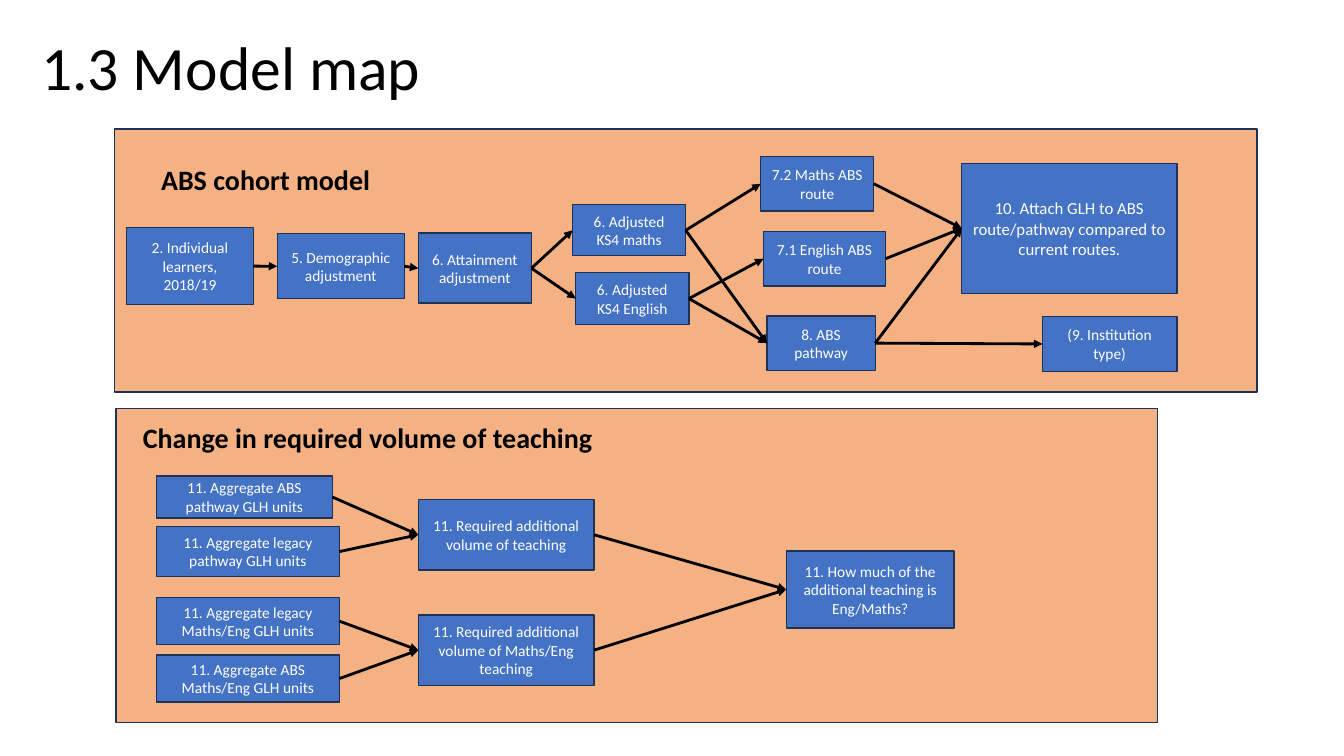
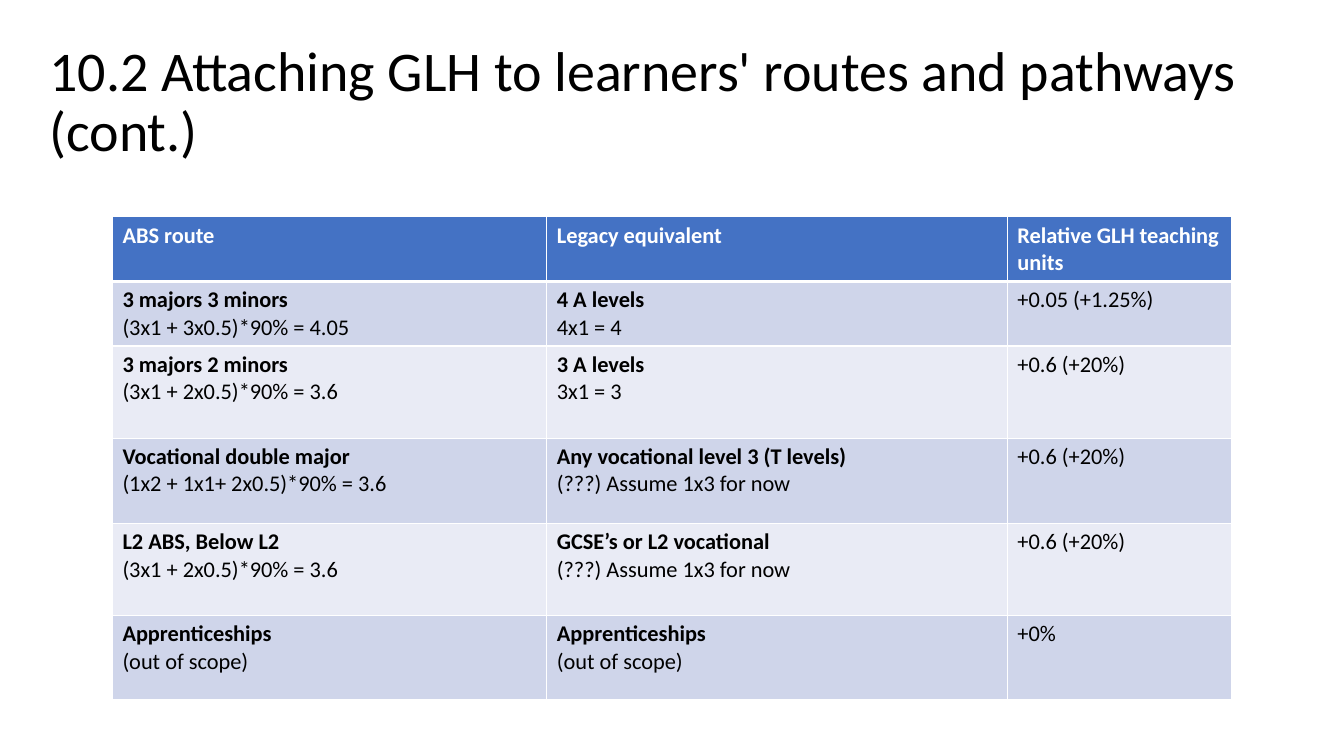
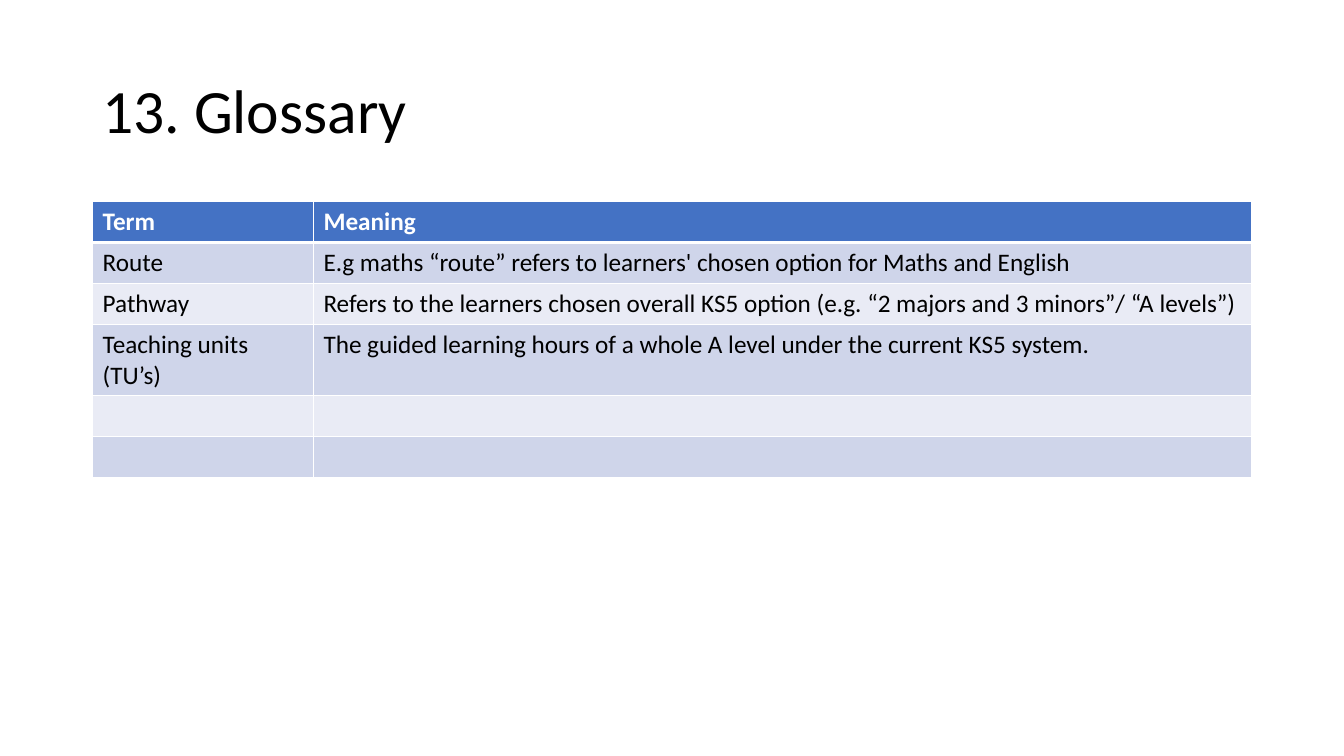
from dataclasses import dataclass
from typing import Any, NamedTuple

from lxml.etree import SubElement
from pptx import Presentation
from pptx.dml.color import RGBColor
from pptx.enum.shapes import MSO_CONNECTOR, MSO_SHAPE
from pptx.enum.text import MSO_ANCHOR, PP_ALIGN
from pptx.oxml.ns import qn
from pptx.util import Pt

RIGHT_SIDE, LEFT_SIDE = 3, 1


@dataclass(frozen=True)
class Theme:
    font: str = "Calibri"
    black: RGBColor = RGBColor(0x00, 0x00, 0x00)
    white: RGBColor = RGBColor(0xFF, 0xFF, 0xFF)
    blue: RGBColor = RGBColor(0x44, 0x72, 0xC4)
    outline: RGBColor = RGBColor(0x1E, 0x32, 0x56)
    panel: RGBColor = RGBColor(0xF4, 0xB1, 0x83)
    bands: tuple[RGBColor, RGBColor] = (
        RGBColor(0xCF, 0xD5, 0xEA),
        RGBColor(0xE9, 0xEB, 0xF5),
    )
    title_size: float = 44
    long_title_size: float = 40
    heading_size: float = 20
    glossary_size: float = 18
    routes_size: float = 16
    large_step_size: float = 12
    step_size: float = 11


THEME = Theme()


class Box(NamedTuple):
    left: float
    top: float
    width: float
    height: float

    def lengths(self) -> list[Pt]:
        return [Pt(value) for value in self]


class Panel(NamedTuple):
    box: Box
    heading: str
    heading_box: Box


class Step(NamedTuple):
    text: str
    box: Box
    size: float = THEME.step_size


@dataclass(frozen=True)
class TableData:
    left: float
    top: float
    columns: list[float]
    row_heights: list[float]
    size: float
    rows: list[list[str]]


PANELS = [
    Panel(Box(82, 92.2, 815.8, 187.8), "ABS cohort model", Box(108, 112.3, 174, 31.7)),
    Panel(Box(82.8, 291.6, 744.2, 224.4), "Change in required volume of teaching",
          Box(95, 296.6, 344, 31.7)),
]

STEPS = {
    "learners": Step("2. Individual learners, 2018/19", Box(90.3, 162.6, 90.8, 55)),
    "demographic": Step("5. Demographic adjustment", Box(198, 167, 90.8, 46.4)),
    "attainment": Step("6. Attainment adjustment", Box(298.8, 166.6, 80.8, 50)),
    "adjusted maths": Step("6. Adjusted KS4 maths", Box(409, 146.3, 80.8, 36.4)),
    "adjusted English": Step("6. Adjusted KS4 English", Box(411.3, 194.8, 80.8, 37)),
    "maths route": Step("7.2 Maths ABS route", Box(543.4, 111.8, 80.8, 39)),
    "English route": Step("7.1 English ABS route", Box(545.4, 165.4, 87.2, 38.8)),
    "pathway": Step("8. ABS pathway", Box(547.8, 225.6, 77.4, 39)),
    "institution": Step("(9. Institution type)", Box(744.6, 226.2, 96, 39)),
    "attach GLH": Step("10. Attach GLH to ABS route/pathway compared to current routes.",
                       Box(687, 116.6, 153.6, 93), THEME.large_step_size),
    "ABS units": Step("11. Aggregate ABS pathway GLH units", Box(111.8, 340, 125.6, 30)),
    "legacy units": Step("11. Aggregate legacy pathway GLH units",
                         Box(111.8, 376, 130.6, 36)),
    "legacy maths units": Step("11. Aggregate legacy Maths/Eng GLH units",
                               Box(111.8, 426.8, 130.6, 33.8)),
    "ABS maths units": Step("11. Aggregate ABS Maths/Eng GLH units",
                            Box(111.8, 467.8, 130.6, 33.8)),
    "required": Step("11. Required additional volume of teaching",
                     Box(298.8, 356.8, 125.6, 50.4)),
    "required maths": Step("11. Required additional volume of Maths/Eng teaching",
                           Box(298.8, 439.2, 125.6, 50.4)),
    "share": Step("11. How much of the additional teaching is Eng/Maths?",
                  Box(561.6, 393.6, 120, 55)),
}

NEXT_STEPS = {
    "learners": ["demographic"],
    "demographic": ["attainment"],
    "attainment": ["adjusted maths", "adjusted English"],
    "adjusted maths": ["maths route", "pathway"],
    "adjusted English": ["English route", "pathway"],
    "maths route": ["attach GLH"],
    "English route": ["attach GLH"],
    "pathway": ["attach GLH", "institution"],
    "ABS units": ["required"],
    "legacy units": ["required"],
    "legacy maths units": ["required maths"],
    "ABS maths units": ["required maths"],
    "required": ["share"],
    "required maths": ["share"],
}

ROUTES = TableData(
    left=80.3, top=154.8, columns=[310.3, 329, 160],
    row_heights=[46.2, 46.2, 65.8, 61, 65.8, 60.2], size=THEME.routes_size,
    rows=[
        ["ABS route", "Legacy equivalent", "Relative GLH teaching units"],
        ["3 majors 3 minors\n(3x1 + 3x0.5)*90% = 4.05", "4 A levels\n4x1 = 4",
         "+0.05 (+1.25%)"],
        ["3 majors 2 minors\n(3x1 + 2x0.5)*90% = 3.6", "3 A levels\n3x1 = 3",
         "+0.6 (+20%)"],
        ["Vocational double major\n(1x2 + 1x1+ 2x0.5)*90% = 3.6",
         "Any vocational level 3 (T levels)\n(???) Assume 1x3 for now", "+0.6 (+20%)"],
        ["L2 ABS, Below L2\n(3x1 + 2x0.5)*90% = 3.6",
         "GCSE’s or L2 vocational\n(???) Assume 1x3 for now", "+0.6 (+20%)"],
        ["Apprenticeships\n(out of scope)", "Apprenticeships\n(out of scope)", "+0%"],
    ],
)

GLOSSARY = TableData(
    left=66.2, top=144, columns=[157.7, 670], row_heights=[29.2] * 3 + [51.2] + [29.2] * 2,
    size=THEME.glossary_size,
    rows=[
        ["Term", "Meaning"],
        ["Route", "E.g maths “route” refers to learners' chosen option for Maths and English"],
        ["Pathway", "Refers to the learners chosen overall KS5 option "
                    "(e.g. “2 majors and 3 minors”/ “A levels”)"],
        ["Teaching units (TU’s)",
         "The guided learning hours of a whole A level under the current KS5 system."],
        ["", ""],
        ["", ""],
    ],
)


def set_attributes(target: Any, values: dict[str, Any]) -> None:
    for name, value in values.items():
        setattr(target, name, value)


def format_paragraph(paragraph: Any, size: float, color: RGBColor, bold: bool = False,
                     **layout: Any) -> None:
    set_attributes(paragraph, layout)
    values = {"name": THEME.font, "size": Pt(size), "bold": bold}
    for font in [paragraph.font, *(run.font for run in paragraph.runs)]:
        set_attributes(font, values)
        font.color.rgb = color


def add_text(slide: Any, text: str, box: Box, size: float, bold: bool = False,
             anchor: MSO_ANCHOR = MSO_ANCHOR.TOP, **layout: Any) -> None:
    frame = slide.shapes.add_textbox(*box.lengths()).text_frame
    set_attributes(frame, {"text": text, "word_wrap": True, "vertical_anchor": anchor})
    format_paragraph(frame.paragraphs[0], size, THEME.black, bold, **layout)


def add_title(slide: Any, text: str, box: Box, size: float = THEME.title_size) -> None:
    add_text(slide, text, box, size, anchor=MSO_ANCHOR.MIDDLE, line_spacing=0.9)


def add_rectangle(slide: Any, box: Box, fill: RGBColor) -> Any:
    shape = slide.shapes.add_shape(MSO_SHAPE.RECTANGLE, *box.lengths())
    shape.shadow.inherit = False
    shape.fill.solid()
    shape.fill.fore_color.rgb = fill
    shape.line.color.rgb = THEME.outline
    shape.line.width = Pt(1)
    return shape


def add_panel(slide: Any, panel: Panel) -> None:
    add_rectangle(slide, panel.box, THEME.panel)
    add_text(slide, panel.heading, panel.heading_box, THEME.heading_size, bold=True)


def add_step(slide: Any, step: Step) -> Any:
    shape = add_rectangle(slide, step.box, THEME.blue)
    set_attributes(shape.text_frame, {"text": step.text, "word_wrap": True,
                                      "vertical_anchor": MSO_ANCHOR.MIDDLE})
    format_paragraph(shape.text_frame.paragraphs[0], step.size, THEME.white,
                     alignment=PP_ALIGN.CENTER)
    return shape


def add_arrow(slide: Any, source: Any, target: Any) -> None:
    connector = slide.shapes.add_connector(MSO_CONNECTOR.STRAIGHT, Pt(0), Pt(0), Pt(0), Pt(0))
    connector.begin_connect(source, RIGHT_SIDE)
    connector.end_connect(target, LEFT_SIDE)
    connector.line.color.rgb = THEME.black
    connector.line.width = Pt(2)
    properties = connector._element.spPr
    SubElement(properties.find(qn("a:ln")), qn("a:tailEnd"), type="triangle")
    SubElement(properties, qn("a:effectLst"))


def add_borders(cell: Any, bottom_width: float, top_width: float) -> None:
    properties = cell._tc.get_or_add_tcPr()
    widths = {"a:lnL": 1, "a:lnR": 1, "a:lnT": top_width, "a:lnB": bottom_width}
    for side, width in widths.items():
        line = SubElement(properties, qn(side), w=str(Pt(width)))
        fill = SubElement(line, qn("a:solidFill"))
        SubElement(fill, qn("a:srgbClr"), val=str(THEME.white))


def fill_cell(cell: Any, text: str, row: int, size: float) -> None:
    """Format one cell; in a two-line body cell the first line is bold."""
    is_header = row == 0
    add_borders(cell, bottom_width=3 if is_header else 1, top_width=3 if row == 1 else 1)
    cell.fill.solid()
    cell.fill.fore_color.rgb = THEME.blue if is_header else THEME.bands[(row - 1) % 2]
    cell.text = text
    paragraphs = cell.text_frame.paragraphs
    for index, paragraph in enumerate(paragraphs):
        bold = is_header or (len(paragraphs) > 1 and index == 0)
        format_paragraph(paragraph, size, THEME.white if is_header else THEME.black, bold)


def add_data_table(slide: Any, data: TableData) -> None:
    box = Box(data.left, data.top, sum(data.columns), sum(data.row_heights))
    table = slide.shapes.add_table(len(data.rows), len(data.columns), *box.lengths()).table
    for column, width in zip(table.columns, data.columns):
        column.width = Pt(width)
    for row, height in zip(table.rows, data.row_heights):
        row.height = Pt(height)
    for row_index, texts in enumerate(data.rows):
        for column_index, text in enumerate(texts):
            fill_cell(table.cell(row_index, column_index), text, row_index, data.size)


def build_model_map(slide: Any) -> None:
    add_title(slide, "1.3 Model map", Box(22.3, 7.2, 846, 85.7))
    for panel in PANELS:
        add_panel(slide, panel)
    shapes = {name: add_step(slide, step) for name, step in STEPS.items()}
    for source, targets in NEXT_STEPS.items():
        for target in targets:
            add_arrow(slide, shapes[source], shapes[target])


def build_routes(slide: Any) -> None:
    add_title(slide, "10.2 Attaching GLH to learners' routes and pathways (cont.)",
              Box(28.2, 21.6, 903.6, 104.4), THEME.long_title_size)
    add_data_table(slide, ROUTES)


def build_glossary(slide: Any) -> None:
    add_title(slide, "13. Glossary", Box(66, 28.8, 828, 104.4))
    add_data_table(slide, GLOSSARY)


def main() -> None:
    presentation = Presentation()
    set_attributes(presentation, {"slide_width": Pt(960), "slide_height": Pt(540)})
    blank_layout = presentation.slide_layouts[6]
    for build in (build_model_map, build_routes, build_glossary):
        build(presentation.slides.add_slide(blank_layout))
    presentation.save("out.pptx")


if __name__ == "__main__":
    main()
